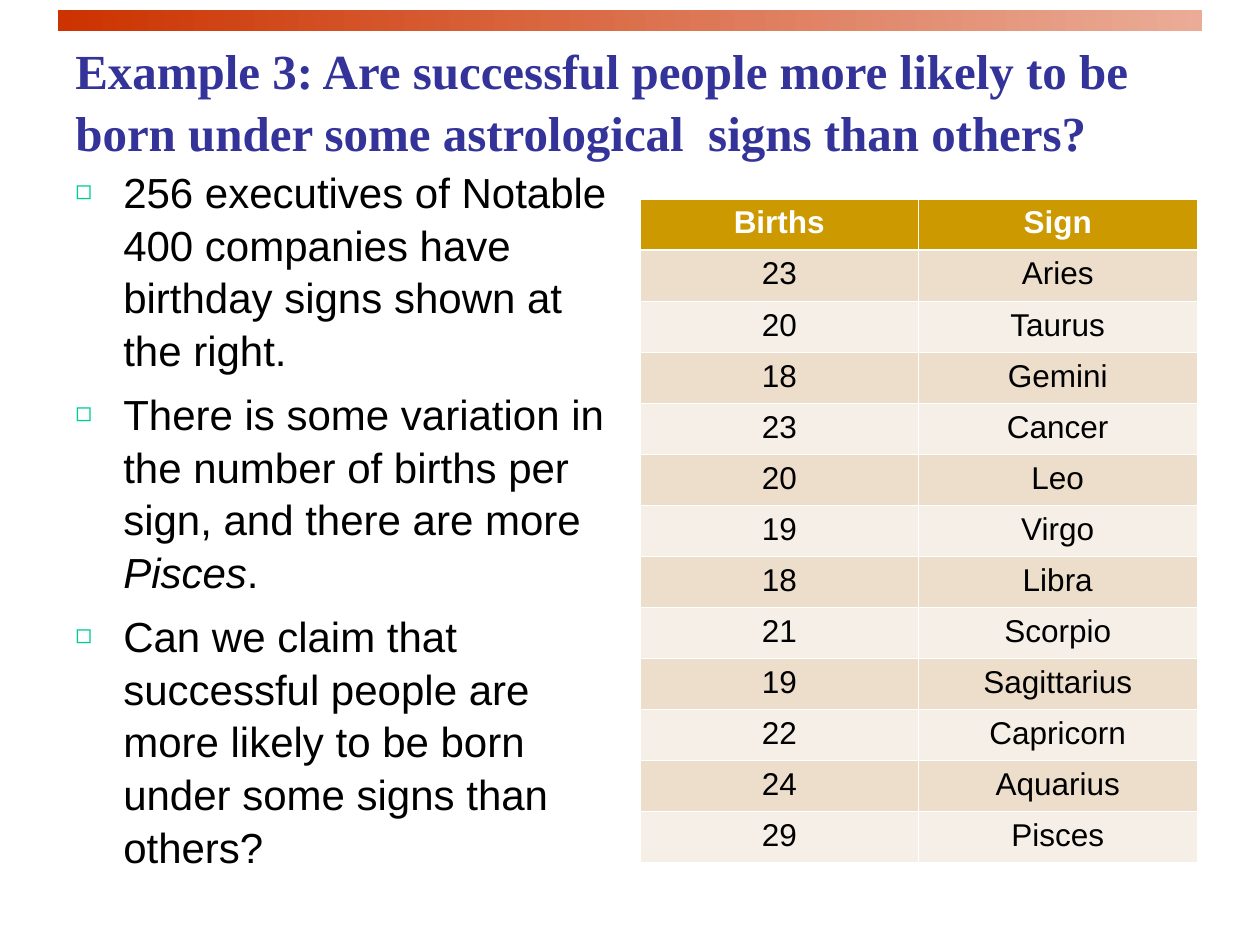
from lxml import etree
from pptx import Presentation, util as u
from pptx.dml.color import RGBColor
from pptx.enum import shapes, text
from pptx.oxml import ns

RED = RGBColor(0xCC, 0x33, 0x00)
PALE_RED = RGBColor(0xEA, 0xAC, 0x97)
NAVY = RGBColor(0x33, 0x33, 0x99)
BLACK = RGBColor(0, 0, 0)
WHITE = RGBColor(0xFF, 0xFF, 0xFF)
GREEN = RGBColor(0x00, 0xCC, 0x99)
GOLD = RGBColor(0xCC, 0x99, 0x00)
TAN = RGBColor(0xEC, 0xDE, 0xCB)
CREAM = RGBColor(0xF6, 0xEF, 0xE7)


def add_span(para, words, size, color, font="Arial", bold=False, italic=False):
    span = para.add_run()
    span.text = words
    span.font.size = u.Pt(size)
    span.font.name = font
    span.font.bold = bold
    span.font.italic = italic
    span.font.color.rgb = color


def add_child(parent, tag, **attributes):
    child = etree.SubElement(parent, ns.qn(tag))
    for name, value in attributes.items():
        child.set(name, str(value))
    return child


deck = Presentation()
deck.slide_width, deck.slide_height = u.Inches(10), u.Inches(7.5)
page = deck.slides.add_slide(deck.slide_layouts[6])

# Gradient bar along the top
bar = page.shapes.add_shape(shapes.MSO_SHAPE.RECTANGLE, u.Inches(0.46),
                            u.Inches(0.08), u.Inches(9.08), u.Inches(0.17))
bar.shadow.inherit = False
bar.line.fill.background()
bar.fill.gradient()
bar.fill.gradient_angle = 0
for stop, color, position in zip(bar.fill.gradient_stops, (RED, PALE_RED), (0, 1)):
    stop.color.rgb = color
    stop.position = position

# Title
title = page.shapes.add_textbox(u.Inches(0.5), u.Inches(0.25), u.Inches(9), u.Inches(0.83))
title.text_frame.word_wrap = True
para = title.text_frame.paragraphs[0]
para.line_spacing = 1.05
add_span(para, "Example 3: Are successful people more likely to be born under some "
         "astrological  signs than others?", 28, NAVY, "Times New Roman", bold=True)

# Bulleted text: each point is a list of (words, italic)
points = [
    [("256 executives of Notable 400 companies have birthday signs shown at the right.", False)],
    [("There is some variation in the number of births per sign, and there are more ", False),
     ("Pisces", True), (".", False)],
    [("Can we claim that successful people are more likely to be born under some signs "
      "than others?", False)],
]
body = page.shapes.add_textbox(u.Inches(0.5), u.Inches(1.25), u.Inches(4.42), u.Inches(6))
body.text_frame.word_wrap = True
for index, point in enumerate(points):
    para = body.text_frame.paragraphs[0] if index == 0 else body.text_frame.add_paragraph()
    para.space_before = u.Pt(6)
    para.line_spacing = 1.05
    properties = para._p.get_or_add_pPr()
    properties.set("marL", str(u.Inches(0.38)))
    properties.set("indent", str(u.Inches(-0.38)))
    add_child(add_child(properties, "a:buClr"), "a:srgbClr", val=GREEN)
    add_child(properties, "a:buSzPct", val=65000)
    add_child(properties, "a:buFont", typeface="Arial")
    add_child(properties, "a:buChar", char="◻")
    for words, italic in point:
        add_span(para, words, 24, BLACK, italic=italic)

# Table of births by sign
rows = [("Births", "Sign"), (23, "Aries"), (20, "Taurus"), (18, "Gemini"), (23, "Cancer"),
        (20, "Leo"), (19, "Virgo"), (18, "Libra"), (21, "Scorpio"), (19, "Sagittarius"),
        (22, "Capricorn"), (24, "Aquarius"), (29, "Pisces")]
table = page.shapes.add_table(len(rows), 2, u.Inches(5.08), u.Inches(1.58),
                              u.Inches(4.42), u.Inches(5.27)).table
for row_index, row in enumerate(rows):
    header = row_index == 0
    for column_index, value in enumerate(row):
        cell = table.cell(row_index, column_index)
        para = cell.text_frame.paragraphs[0]
        para.alignment = text.PP_ALIGN.CENTER
        add_span(para, str(value), 18, WHITE if header else BLACK, bold=header)
        # Borders come before the fill in the cell properties
        properties = cell._tc.get_or_add_tcPr()
        for side in "LRTB":
            heavy = (side == "B" and header) or (side == "T" and row_index == 1)
            line = add_child(properties, f"a:ln{side}", w=u.Pt(1.5 if heavy else 0.45))
            add_child(add_child(line, "a:solidFill"), "a:srgbClr", val=WHITE)
        cell.fill.solid()
        cell.fill.fore_color.rgb = GOLD if header else TAN if row_index % 2 else CREAM

deck.save("out.pptx")
